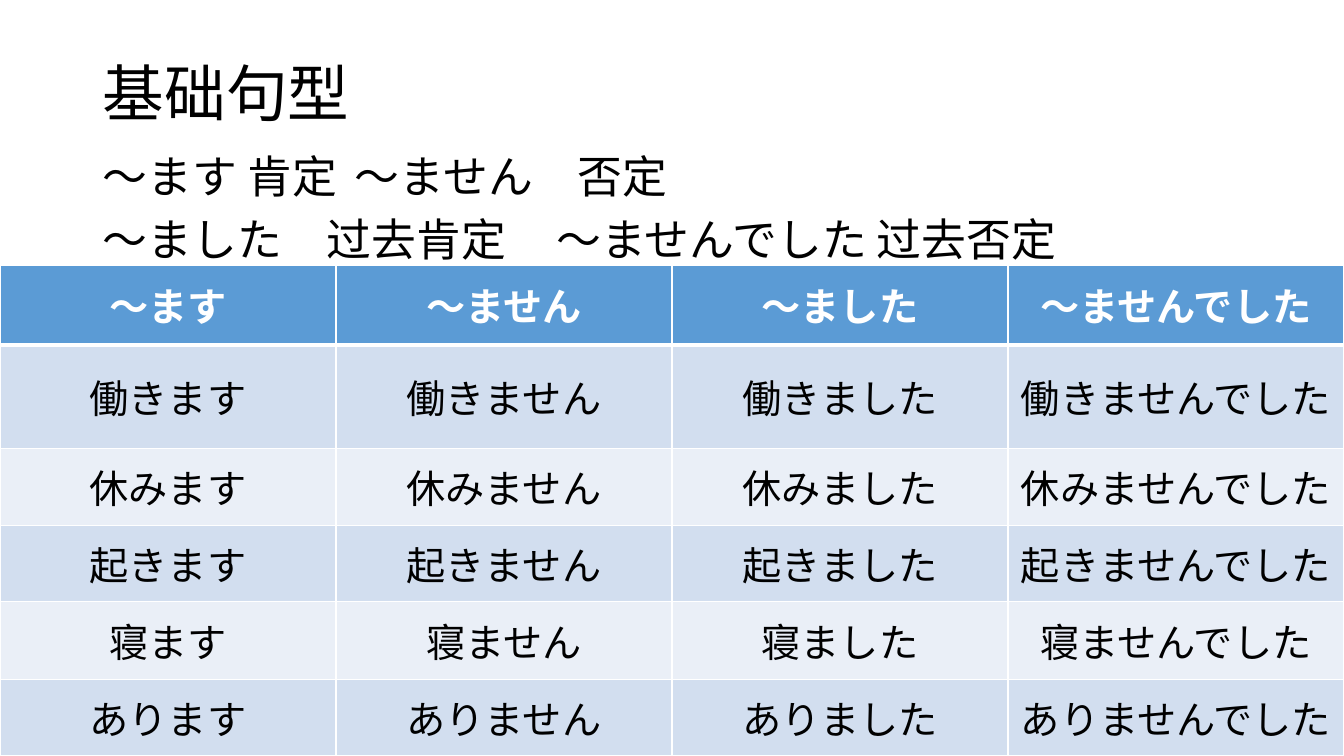
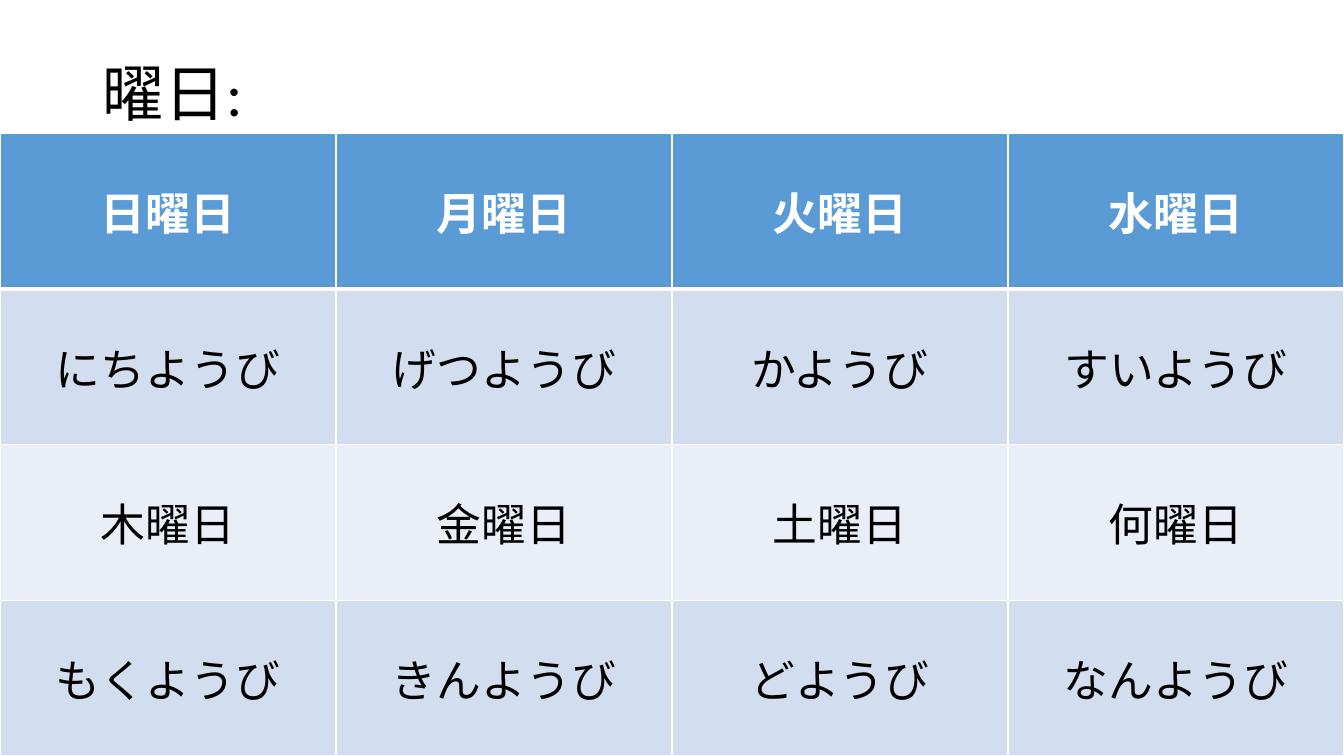
from lxml import etree
from pptx import Presentation
from pptx.dml.color import RGBColor
from pptx.enum.text import MSO_ANCHOR, MSO_AUTO_SIZE, PP_ALIGN
from pptx.oxml.ns import qn
from pptx.util import Inches, Pt

LEFT, CENTER = PP_ALIGN.LEFT, PP_ALIGN.CENTER
TOP, MIDDLE = MSO_ANCHOR.TOP, MSO_ANCHOR.MIDDLE
NO_FIT = MSO_AUTO_SIZE.NONE
TITLE_ONLY, TITLE_AND_BODY = 5, 1

FONT = "Calibri"
COLORS = {"text": "000000", "white": "FFFFFF", "header": "5B9BD5",
          "odd": "D2DEEF", "even": "EAEFF7"}
SLIDE_W, SLIDE_H = 13.33, 7.5
TITLE_BOX = (0.92, 0.23, 11.5, 1.45)
TAB_STOP = 5.04

VERBS = ["働き", "休み", "起き", "寝", "あり"]
ENDINGS = ["ます", "ません", "ました", "ませんでした"]
VERB_ROWS = [[stem + end for end in ENDINGS] for stem in ["～"] + VERBS]
VERB_HEIGHTS = [0.79, 1.03, 0.76, 0.76, 0.77, 0.76]
PATTERNS = ["～ます 肯定\t～ません　否定",
            "～ました　过去肯定\t～ませんでした 过去否定"]
DAY_ROWS = [["日曜日", "月曜日", "火曜日", "水曜日"],
            ["にちようび", "げつようび", "かようび", "すいようび"],
            ["木曜日", "金曜日", "土曜日", "何曜日"],
            ["もくようび", "きんようび", "どようび", "なんようび"]]


def color(name):
    return RGBColor.from_string(COLORS[name])


def style(p, size, align, ink="text", bold=False):
    p.alignment = align
    p.font.name = FONT
    p.font.size = Pt(size)
    p.font.bold = bold
    p.font.color.rgb = color(ink)


def place(sp, box, anchor):
    sp.left, sp.top, sp.width, sp.height = (Inches(v) for v in box)
    tf = sp.text_frame
    tf.word_wrap = True
    tf.auto_size = NO_FIT
    tf.vertical_anchor = anchor
    return tf


def add_title_slide(prs, layout, title):
    s = prs.slides.add_slide(prs.slide_layouts[layout])
    tf = place(s.shapes.title, TITLE_BOX, MIDDLE)
    tf.text = title
    p = tf.paragraphs[0]
    p.line_spacing = 0.9
    style(p, 44, LEFT)
    return s


def fill_body(sp, box, lines):
    tf = place(sp, box, TOP)
    tf.text = "\n".join(lines)
    for p in tf.paragraphs:
        style(p, 32, LEFT)
        p.line_spacing = 0.9
        p.space_before = Pt(10)
        pPr = p._p.get_or_add_pPr()
        pPr.set("marL", "0")
        pPr.set("indent", "0")
        bullet = etree.Element(qn("a:buNone"))
        tabs = etree.Element(qn("a:tabLst"))
        etree.SubElement(tabs, qn("a:tab"), pos=str(Inches(TAB_STOP)), algn="l")
        at = list(pPr).index(pPr.find(qn("a:spcBef"))) + 1
        pPr[at:at] = [bullet, tabs]


def set_borders(cell, top, bottom):
    tcPr = cell._tc.get_or_add_tcPr()
    sides = [("lnL", 1), ("lnR", 1), ("lnT", top), ("lnB", bottom)]
    for i, (side, width) in enumerate(sides):
        ln = etree.Element(qn("a:" + side), w=str(Pt(width)))
        fill = etree.SubElement(ln, qn("a:solidFill"))
        etree.SubElement(fill, qn("a:srgbClr"), val=COLORS["white"])
        tcPr.insert(i, ln)


def add_grid(s, box, rows, heights, size):
    cols = len(rows[0])
    frame = s.shapes.add_table(len(rows), cols, *(Inches(v) for v in box))
    table = frame.table
    for col in table.columns:
        col.width = Inches(box[2] / cols)
    for r, (texts, height) in enumerate(zip(rows, heights)):
        table.rows[r].height = Inches(height)
        header = r == 0
        band = "header" if header else "odd" if r % 2 else "even"
        for c, text in enumerate(texts):
            cell = table.cell(r, c)
            cell.text = text
            cell.vertical_anchor = MIDDLE
            cell.fill.solid()
            cell.fill.fore_color.rgb = color(band)
            style(cell.text_frame.paragraphs[0], size, CENTER,
                  "white" if header else "text", header)
            set_borders(cell, 3 if r == 1 else 1, 3 if header else 1)


def add_pattern_slide(prs):
    s = add_title_slide(prs, TITLE_AND_BODY, "基础句型")
    fill_body(s.placeholders[1], (0.92, 1.49, 12.23, 6.01), PATTERNS)
    add_grid(s, (0, 2.63, SLIDE_W, 4.87), VERB_ROWS, VERB_HEIGHTS, 28)


def add_weekday_slide(prs):
    s = add_title_slide(prs, TITLE_ONLY, "曜日:")
    top = 1.32
    height = SLIDE_H - top
    heights = [height / len(DAY_ROWS)] * len(DAY_ROWS)
    add_grid(s, (0, top, SLIDE_W, height), DAY_ROWS, heights, 32)


prs = Presentation()
prs.slide_width, prs.slide_height = Inches(SLIDE_W), Inches(SLIDE_H)
add_pattern_slide(prs)
add_weekday_slide(prs)
prs.save("out.pptx")
